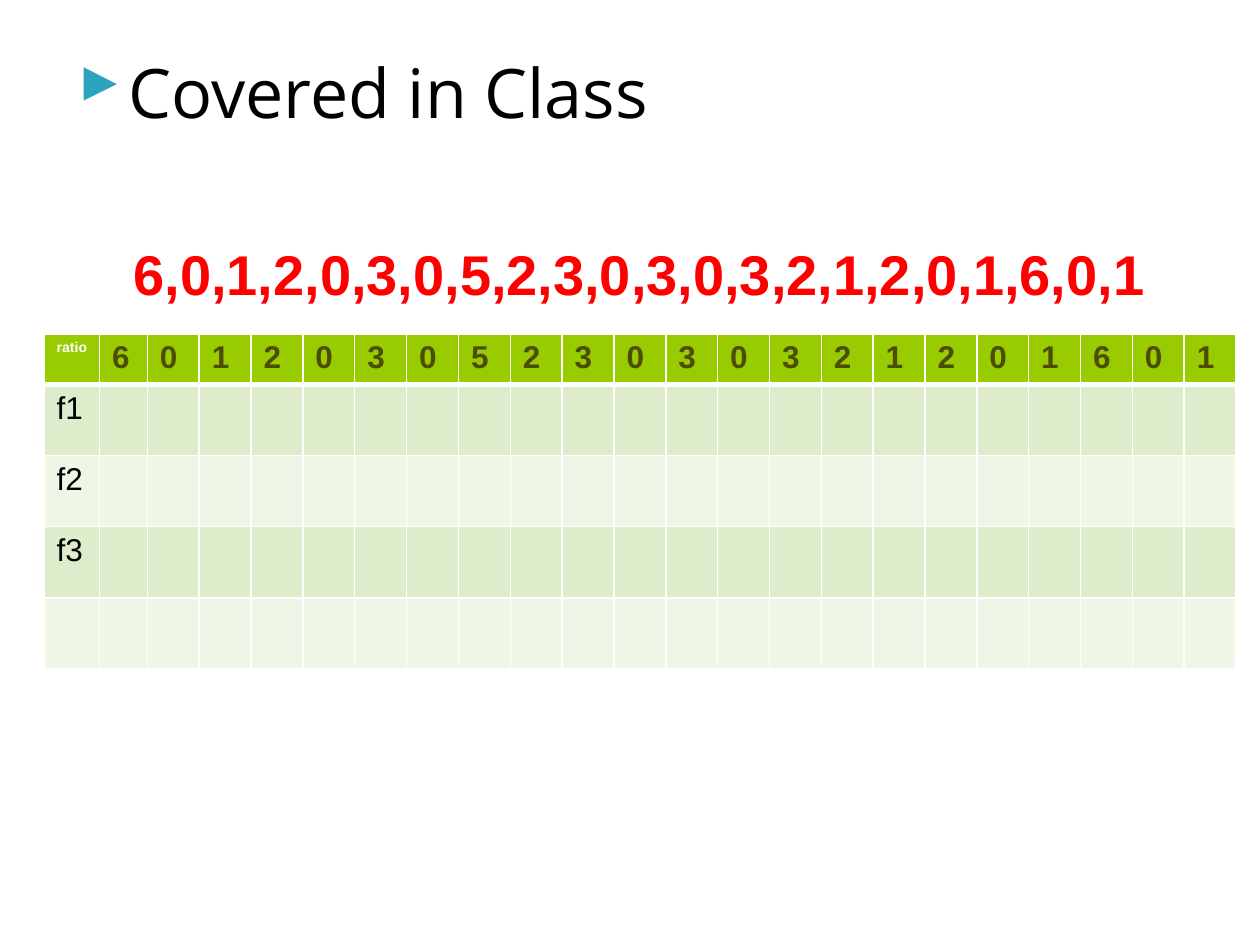
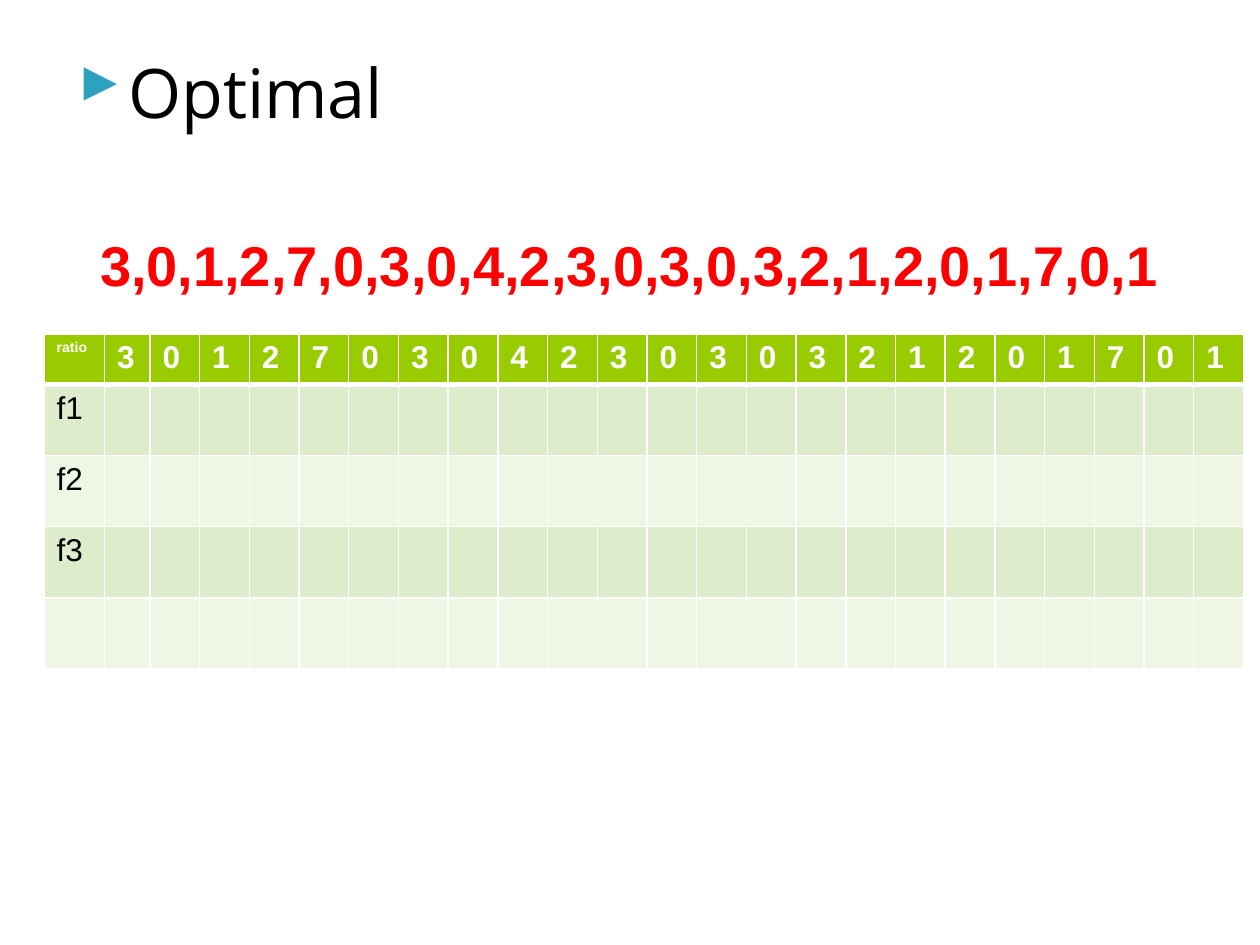
from dataclasses import dataclass

from lxml import etree
from pptx import Presentation
from pptx import util as u
from pptx.dml.color import RGBColor
from pptx.enum import text
from pptx.oxml import ns


@dataclass(frozen=True)
class Theme:
    font: str = "Arial"
    heading_font: str = "Open Sans"
    bullet_font: str = "Wingdings 3"
    black: str = "000000"
    white: str = "FFFFFF"
    red: str = "FF0000"
    olive: str = "4C4D00"
    bullet: str = "2DA2BF"
    header: str = "99CC00"
    bands: tuple = ("DDECCA", "EFF6E6")
    heading_size: int = 39
    sequence_size: int = 32
    cell_size: int = 18
    label_size: int = 8
    thin: int = 1
    thick: int = 3


class Deck:
    COLUMNS = 100
    ROWS = 75

    def __init__(self, theme):
        self.theme = theme
        self.presentation = Presentation()
        self.presentation.slide_width = u.Inches(10)
        self.presentation.slide_height = u.Inches(7.5)
        self.slide = None

    def new_slide(self):
        layout = self.presentation.slide_layouts[6]
        self.slide = self.presentation.slides.add_slide(layout)

    def across(self, columns):
        return round(self.presentation.slide_width * columns / self.COLUMNS)

    def down(self, rows):
        return round(self.presentation.slide_height * rows / self.ROWS)

    def style(self, paragraph, size, color, bold=False, font=None):
        for run in paragraph.runs:
            run.font.name = font or self.theme.font
            run.font.size = u.Pt(size)
            run.font.bold = bold
            run.font.color.rgb = RGBColor.from_string(color)

    def text_box(self, words, column, row, width, height):
        shape = self.slide.shapes.add_textbox(
            self.across(column), self.down(row), self.across(width), self.down(height))
        shape.text_frame.word_wrap = True
        shape.text_frame.text = words
        return shape.text_frame

    def heading(self, words):
        frame = self.text_box(words, 3.5, 3.5, 63.7, 7.6)
        frame.auto_size = text.MSO_AUTO_SIZE.SHAPE_TO_FIT_TEXT
        paragraph = frame.paragraphs[0]
        self.style(paragraph, self.theme.heading_size, self.theme.black,
                   font=self.theme.heading_font)
        properties = paragraph._p.get_or_add_pPr()
        properties.set("marL", str(self.across(5.7)))
        properties.set("indent", str(-self.across(4)))
        color = etree.SubElement(properties, ns.qn("a:buClr"))
        etree.SubElement(color, ns.qn("a:srgbClr"), val=self.theme.bullet)
        etree.SubElement(properties, ns.qn("a:buFont"),
                         typeface=self.theme.bullet_font, charset="2")
        etree.SubElement(properties, ns.qn("a:buChar"), char="}")

    def sequence(self, pages, column, row):
        frame = self.text_box(",".join(pages), column, row, 90, 6.3)
        frame.vertical_anchor = text.MSO_ANCHOR.BOTTOM
        paragraph = frame.paragraphs[0]
        paragraph.alignment = text.PP_ALIGN.CENTER
        self.style(paragraph, self.theme.sequence_size, self.theme.red, bold=True)

    def borders(self, cell, top, bottom):
        properties = cell._tc.get_or_add_tcPr()
        widths = {"L": self.theme.thin, "R": self.theme.thin, "T": top, "B": bottom}
        for side, width in widths.items():
            line = etree.SubElement(properties, ns.qn(f"a:ln{side}"), w=str(u.Pt(width)))
            fill = etree.SubElement(line, ns.qn("a:solidFill"))
            etree.SubElement(fill, ns.qn("a:srgbClr"), val=self.theme.white)

    def cell(self, cell, words, fill, size, color, bold, top, bottom):
        self.borders(cell, top, bottom)
        cell.fill.solid()
        cell.fill.fore_color.rgb = RGBColor.from_string(fill)
        if words:
            cell.margin_right = 0
            cell.text_frame.text = words
            self.style(cell.text_frame.paragraphs[0], size, color, bold)

    def frame_table(self, pages, width, label_width, first_width, page_color):
        theme = self.theme
        labels = ["ratio", "f1", "f2", "f3", ""]
        heights = [3.2] + [5.65] * (len(labels) - 1)
        page_width = (width - label_width - first_width) / (len(pages) - 1)
        widths = [label_width, first_width] + [page_width] * (len(pages) - 1)
        table = self.slide.shapes.add_table(
            len(labels), len(widths), self.across(3.5), self.down(26.5),
            self.across(width), self.down(sum(heights))).table
        table.first_row = table.horz_banding = False
        for column, column_width in zip(table.columns, widths):
            column.width = self.across(column_width)
        for row, height in zip(table.rows, heights):
            row.height = self.down(height)
        for index, words in enumerate([labels[0], *pages]):
            size, color = ((theme.cell_size, page_color) if index
                           else (theme.label_size, theme.white))
            self.cell(table.cell(0, index), words, theme.header, size, color,
                      True, theme.thin, theme.thick)
        for row, label in enumerate(labels[1:], 1):
            for index in range(len(widths)):
                self.cell(table.cell(row, index), "" if index else label,
                          theme.bands[(row - 1) % 2], theme.cell_size, theme.black, False,
                          theme.thick if row == 1 else theme.thin, theme.thin)


def main():
    theme = Theme()
    deck = Deck(theme)

    class_pages = "6012030523030321201601"
    deck.new_slide()
    deck.sequence(class_pages, 5.8, 18.5)
    deck.frame_table(class_pages, 94.6, 4.4, 3.8, theme.olive)
    deck.heading("Covered in Class")

    optimal_pages = "30127030423030321201701"
    deck.new_slide()
    deck.sequence(optimal_pages, 5, 17.8)
    deck.heading("Optimal")
    deck.frame_table(optimal_pages, 95.2, 4.8, 3.6, theme.white)

    deck.presentation.save("out.pptx")


if __name__ == "__main__":
    main()
